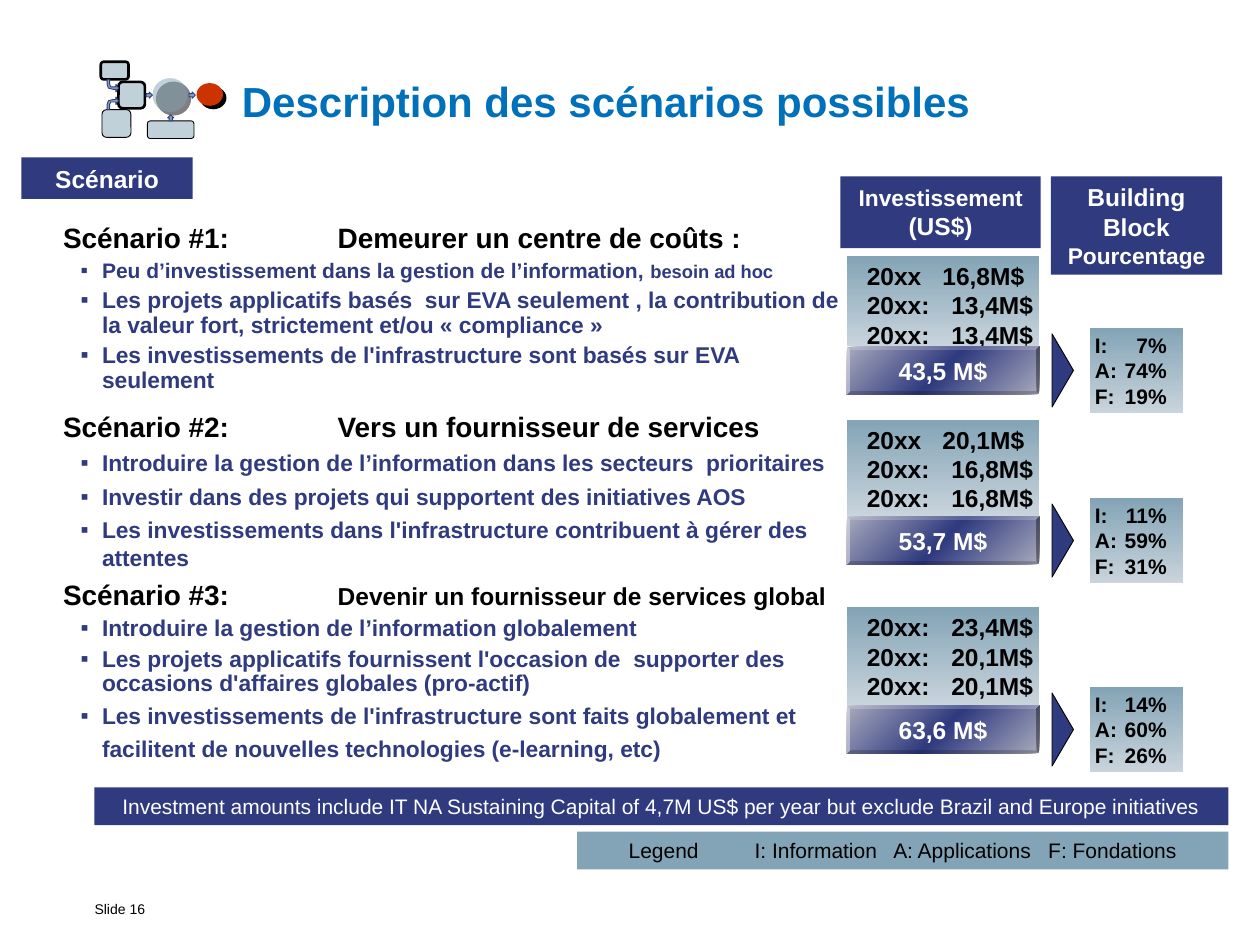
from dataclasses import dataclass

from lxml import etree
from pptx import Presentation
from pptx import util as u
from pptx.dml.color import RGBColor
from pptx.enum import shapes, text
from pptx.oxml import ns

PX = u.Inches(1) // 100
KIND = shapes.MSO_SHAPE
ALIGN = text.PP_ALIGN
ANCHOR = text.MSO_ANCHOR


@dataclass(frozen=True)
class Theme:
    """Colours, type sizes and font of the slide."""
    font: str = "Arial"
    navy: str = "2F3A7F"
    steel: str = "83A4B6"
    mist: str = "C9D4DC"
    lilac: str = "A9ABBD"
    title_blue: str = "0070BA"
    red: str = "CC3300"
    black: str = "000000"
    white: str = "FFFFFF"
    title: float = 24
    heading: float = 16
    strong: float = 14
    body: float = 13
    label: float = 12
    aside: float = 10.5
    footer: float = 8


T = Theme()

SCENARIOS = [
    dict(top=175, height=144, cost_top=203, total_top=275, spacing=0.9,
         heading=[("Scénario #1:\tDemeurer un centre de coûts :", T.heading)],
         bullets=[[("Peu d’investissement dans la gestion de l’information, ", T.label),
                   ("besoin ad hoc", T.aside)],
                  [("Les projets applicatifs basés  sur EVA seulement , la contribution de la valeur fort, "
                    "strictement et/ou «\u00a0compliance\u00a0»", T.body)],
                  [("Les investissements de l'infrastructure sont basés sur EVA seulement", T.body)]],
         costs=["20xx\t16,8M$", "20xx:\t13,4M$", "20xx:\t13,4M$"], total="43,5 M$",
         shares=["I:\t7%", "A:\t74%", "F:\t19%"]),
    dict(top=325, height=183, cost_top=333, total_top=410, spacing=1.0,
         heading=[("Scénario #2:\tVers un fournisseur de services", T.heading)],
         bullets=[[("Introduire la gestion de l’information dans les secteurs  prioritaires", T.body)],
                  [("Investir dans des projets qui supportent des initiatives AOS", T.body)],
                  [("Les investissements dans l'infrastructure contribuent à gérer des attentes", T.body)]],
         costs=["20xx\t20,1M$", "20xx:\t16,8M$", "20xx:\t16,8M$"], total="53,7 M$",
         shares=["I:\t11%", "A:\t59%", "F:\t31%"]),
    dict(top=458, height=152, cost_top=482, total_top=560, spacing=0.9, last_spacing=1.2,
         heading=[("Scénario #3:\t", T.heading), ("Devenir un fournisseur de services global", T.strong)],
         bullets=[[("Introduire la gestion de l’information globalement", T.body)],
                  [("Les projets applicatifs fournissent l'occasion de  supporter des occasions "
                    "d'affaires globales (pro-actif)", T.body)],
                  [("Les investissements de l'infrastructure sont faits globalement et facilitent de "
                    "nouvelles technologies (e-learning, etc)", T.body)]],
         costs=["20xx:\t23,4M$", "20xx:\t20,1M$", "20xx:\t20,1M$"], total="63,6 M$",
         shares=["I:\t14%", "A:\t60%", "F:\t26%"]),
]


def element(parent, tag, **attributes):
    """Append a DrawingML element and return it."""
    return etree.SubElement(parent, ns.qn("a:" + tag), attributes)


def paint(shape, fill, line=None, weight=0.5, alpha=None):
    """Give a shape a plain fill, an optional outline and no shadow."""
    shape.shadow.inherit = False
    shape.fill.solid()
    shape.fill.fore_color.rgb = RGBColor.from_string(fill)
    if alpha:
        color = shape.fill._xPr.find(ns.qn("a:solidFill"))[0]
        element(color, "alpha", val=str(alpha * 1000))
    if line:
        shape.line.color.rgb = RGBColor.from_string(line)
        shape.line.width = u.Pt(weight)
    else:
        shape.line.fill.background()


def shade(shape, colors, angle):
    """Replace the fill by an evenly spaced linear gradient."""
    paint(shape, colors[0])
    solid = shape._element.spPr.find(ns.qn("a:solidFill"))
    gradient = etree.Element(ns.qn("a:gradFill"), rotWithShape="1")
    stops = element(gradient, "gsLst")
    for index, color in enumerate(colors):
        stop = element(stops, "gs", pos=str(index * 100000 // (len(colors) - 1)))
        element(stop, "srgbClr", val=color)
    element(gradient, "lin", ang=str(angle * 60000), scaled="0")
    solid.getparent().replace(solid, gradient)


def cast_shadow(shape):
    """Add a hard black shadow to the lower right."""
    effects = shape._element.spPr.find(ns.qn("a:effectLst"))
    shadow = element(effects, "outerShdw", dist="35560", dir="2700000", algn="ctr", rotWithShape="0")
    element(shadow, "srgbClr", val=T.black)


def add_box(page, box, kind=None):
    """Add a preset shape, or a text box when no kind is given."""
    place = [value * PX for value in box]
    return page.shapes.add_shape(kind, *place) if kind else page.shapes.add_textbox(*place)


def set_frame(shape, insets, anchor=ANCHOR.TOP, wrap=True):
    """Set margins, anchor and wrapping of a shape's text."""
    frame = shape.text_frame
    frame.margin_left, frame.margin_top, frame.margin_right, frame.margin_bottom = [i * PX for i in insets]
    frame.vertical_anchor = anchor
    frame.word_wrap = wrap


def write(shape, index, spans, color, bold=True, align=ALIGN.LEFT, spacing=None, before=0,
          bullet=False, tabs=()):
    """Write one paragraph run by run; spans are (text, size) pairs."""
    frame = shape.text_frame
    para = frame.add_paragraph() if index else frame.paragraphs[0]
    para.alignment = align
    para.space_before = u.Pt(before)
    if spacing:
        para.line_spacing = spacing
    settings = para._p.get_or_add_pPr()
    if bullet:
        settings.set("marL", str(31 * PX))
        settings.set("indent", str(-17 * PX))
        element(settings, "buFont", typeface=T.font)
        element(settings, "buChar", char="▪")
    if tabs:
        stops = element(settings, "tabLst")
        for position, side in tabs:
            element(stops, "tab", pos=str(position * PX), algn=side)
    for words, size in spans:
        span = para.add_run()
        span.text = words
        span.font.name = T.font
        span.font.size = u.Pt(size)
        span.font.bold = bold
        span.font.color.rgb = RGBColor.from_string(color)


def add_label(page, box, spans, color, bold=False, insets=(0, 5, 10, 5), **options):
    """Place a free line of text."""
    label = add_box(page, box)
    set_frame(label, insets, wrap=False)
    write(label, 0, spans, color, bold, **options)


def add_banner(page, box, lines, fill=T.navy, color=T.white, bold=True, left=10, **options):
    """Place a filled bar whose text is centred vertically."""
    banner = add_box(page, box, KIND.RECTANGLE)
    paint(banner, fill)
    set_frame(banner, (left, 5, 10, 5), ANCHOR.MIDDLE)
    for index, spans in enumerate(lines):
        write(banner, index, spans, color, bold, **{"align": ALIGN.CENTER, **options})


def add_process_icon(page, left, top):
    """Draw the small process diagram beside the title."""
    for kind, box, fill, weight, shadow in [
            (KIND.ROUNDED_RECTANGLE, (0, 0, 22, 14), T.steel, 1.5, False),
            (KIND.ROUNDED_RECTANGLE, (37, 47, 37, 14), T.steel, 0.5, False),
            (KIND.OVAL, (41, 13, 28, 27), T.steel, 0, True),
            (KIND.ROUNDED_RECTANGLE, (14, 16, 21, 21), T.steel, 1.5, False),
            (KIND.OVAL, (76, 17, 21, 18), T.red, 0, True),
            (KIND.ROUNDED_RECTANGLE, (1, 38, 23, 22), T.steel, 0.5, False)]:
        part = add_box(page, (left + box[0], top + box[1], *box[2:]), kind)
        paint(part, fill, T.black if weight else None, weight, 50 if fill == T.steel else None)
        if shadow:
            cast_shadow(part)
    for x, y, turn in [(70, 24, 270), (36, 24, 270), (53, 42, 180)]:
        arrow = add_box(page, (left + x, top + y, 5, 5), KIND.DOWN_ARROW)
        arrow.rotation = turn
        paint(arrow, T.steel, T.navy)
    elbow = [(14, 5), (12, 2), (12, 4), (10, 4), (6, 5), (5, 8), (5, 12),
             (7, 12), (7, 8), (8, 6), (12, 6), (12, 8)]
    for flip in (1, -1):
        points = [(left + x, top + 26 + flip * y) for x, y in elbow]
        builder = page.shapes.build_freeform(*points[0], scale=PX)
        builder.add_line_segments(points[1:], close=True)
        paint(builder.convert_to_shape(), T.steel, T.navy)


def add_description(page, box, scenario):
    """Write a scenario's heading and bullets."""
    area = add_box(page, box)
    set_frame(area, (50, 0, 0, 0))
    write(area, 0, scenario["heading"], T.black, tabs=[(218, "l")])
    for index, spans in enumerate(scenario["bullets"], 1):
        special = index == 3 and scenario.get("last_spacing")
        write(area, index, spans, T.navy, spacing=special or scenario["spacing"],
              before=0 if special else 3.5, bullet=True)


def add_costs(page, box, costs, total, total_top):
    """Place the yearly costs above their bevelled total."""
    left, top, width, height = box
    panel = add_box(page, box, KIND.RECTANGLE)
    shade(panel, [T.steel, T.mist], 90)
    set_frame(panel, (16, 4, 0, 4))
    for index, cost in enumerate(costs):
        write(panel, index, [(cost, T.strong)], T.black, tabs=[(67 if ":" in cost else 60, "l")])
    button = add_box(page, (left, total_top, width, 38), KIND.BEVEL)
    button.adjustments[0] = 0.06
    shade(button, [T.lilac, T.navy, T.lilac], 45)
    set_frame(button, (4, 4, 4, 4), ANCHOR.MIDDLE)
    write(button, 0, [(total, T.strong)], T.white, align=ALIGN.CENTER)


def add_shares(page, box, shares):
    """Place the building block percentages and the arrow to them."""
    left, top, width, height = box
    panel = add_box(page, box, KIND.RECTANGLE)
    shade(panel, [T.steel, T.mist], 90)
    set_frame(panel, (4, 4, 4, 4))
    for index, share in enumerate(shares):
        write(panel, index, [(share, T.label)], T.black, tabs=[(57, "r")])
    arrow = add_box(page, (left - 30, top + 5, 17, height - 10), KIND.RIGHT_ARROW)
    arrow.adjustments[0], arrow.adjustments[1] = 0.715, 1
    paint(arrow, T.navy, T.black)


def main():
    """Build and save the slide."""
    deck = Presentation()
    deck.slide_width, deck.slide_height = 1000 * PX, 750 * PX
    page = deck.slides.add_slide(deck.slide_layouts[6])
    add_label(page, (75, 712, 52, 21), [("Slide 16", T.footer)], T.black, spacing=0.85)
    add_label(page, (183, 52, 750, 64), [("Description des scénarios possibles", T.title)],
              T.title_blue, True, (9, 8, 9, 4))
    add_process_icon(page, 80, 49)
    for scenario in SCENARIOS:
        add_description(page, (0, scenario["top"], 675, scenario["height"]), scenario)
        top, total_top = scenario["cost_top"], scenario["total_top"]
        add_costs(page, (672, top, 153, total_top - top), scenario["costs"], scenario["total"], total_top)
        add_shares(page, (865, total_top - 15, 74, 68), scenario["shares"])
    add_banner(page, (17, 125, 136, 33), [[("Scénario", T.strong)]])
    add_banner(page, (667, 140, 159, 57), [[("Investissement ", T.body), ("(US$)", T.strong)]])
    add_banner(page, (834, 140, 136, 78), [[("Building Block", T.strong)], [("Pourcentage", T.body)]])
    add_banner(page, (75, 625, 900, 30),
               [[("Investment amounts include IT NA Sustaining Capital of 4,7M US$ per year "
                  "but exclude Brazil and Europe initiatives", T.label)]], bold=False)
    add_banner(page, (458, 660, 517, 30),
               [[("Legend\tI: Information\tA: Applications\tF: Fondations", T.label)]],
               T.steel, T.black, False, 41, align=ALIGN.LEFT,
               tabs=[(100, "l"), (210, "l"), (333, "l")])
    deck.save("out.pptx")


if __name__ == "__main__":
    main()
